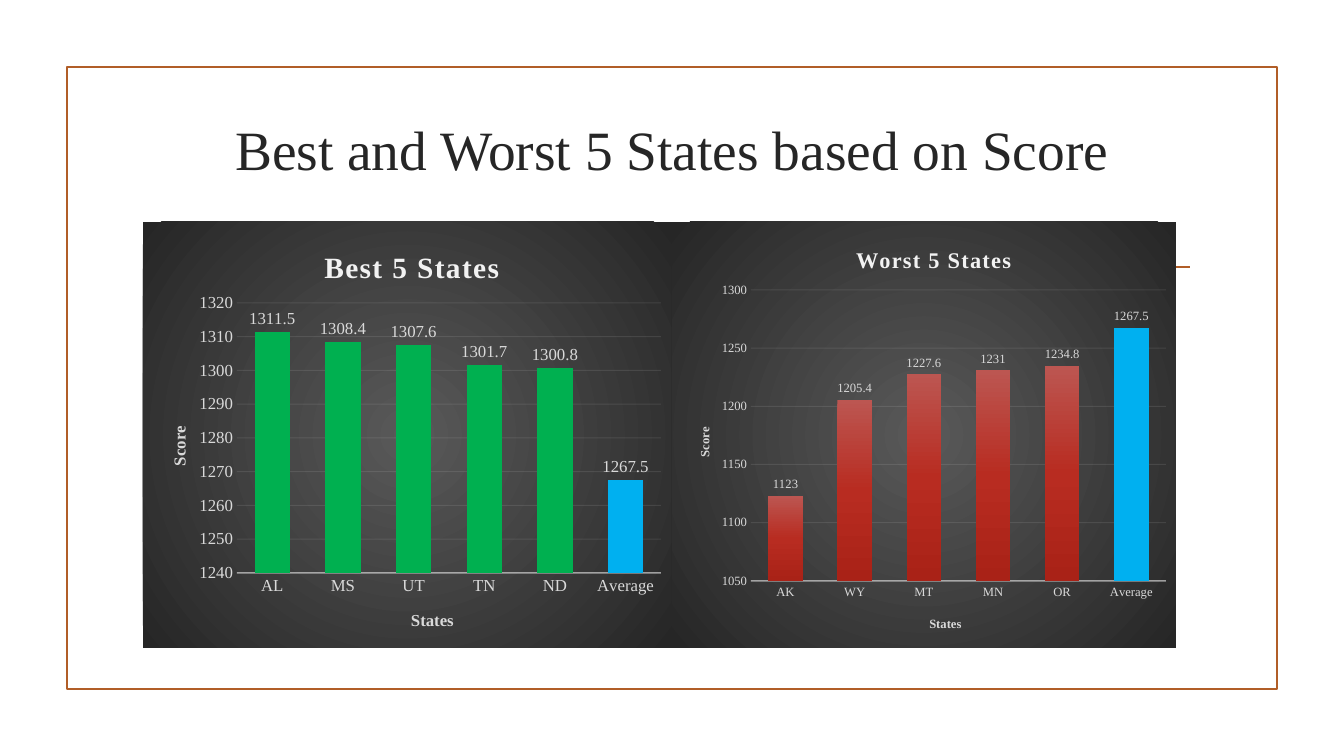
from dataclasses import dataclass

from lxml.etree import SubElement
from pptx import Presentation
from pptx.chart.data import CategoryChartData
from pptx.dml.color import RGBColor
from pptx.enum.chart import XL_CHART_TYPE, XL_LABEL_POSITION, XL_TICK_MARK
from pptx.enum.shapes import MSO_CONNECTOR, MSO_SHAPE
from pptx.enum.text import MSO_ANCHOR, PP_ALIGN
from pptx.oxml import parse_xml
from pptx.oxml.ns import nsdecls, qn
from pptx.util import Pt

EMU_PER_PX = 914400 / 100.8


@dataclass(frozen=True)
class Theme:
    font: str = "Times New Roman"
    accent: str = "B15E28"
    title: str = "262626"
    chart_title: str = "F2F2F2"
    chart_text: str = "D9D9D9"
    best: str = "00B050"
    average: str = "00B0F0"
    worst: tuple = ((0, "BC5651"), (50, "B82C21"), (100, "A92217"))
    backdrop: tuple = ((0, "595959"), (100, "262626"))
    title_size: float = 39.6
    border: float = 1.25


THEME = Theme()


@dataclass(frozen=True)
class ScoreChart:
    title: str
    box: tuple  # left, top, width, height on the slide
    plot: tuple  # inner plot area on the slide
    title_at: tuple
    states_at: tuple
    score_at: tuple
    states: tuple
    scores: tuple
    scale: tuple  # minimum, maximum, step
    fill: object
    title_size: int
    text_size: int


CHARTS = (
    ScoreChart("Best 5 States", (143, 222, 529, 426), (237, 303, 424, 270),
               (319, 243), (408, 607), (166, 423),
               ("AL", "MS", "UT", "TN", "ND", "Average"),
               (1311.5, 1308.4, 1307.6, 1301.7, 1300.8, 1267.5),
               (1240, 1320, 10), THEME.best, 21, 12),
    ScoreChart("Worst 5 States", (672, 222, 504, 426), (751, 290, 415, 291),
               (852, 242), (927, 613), (694, 425),
               ("AK", "WY", "MT", "MN", "OR", "Average"),
               (1123, 1205.4, 1227.6, 1231, 1234.8, 1267.5),
               (1050, 1300, 50), THEME.worst, 16, 9),
)


def px(length):
    return round(length * EMU_PER_PX)


def set_attributes(target, values):
    for name, value in values.items():
        setattr(target, name, value)


def format_font(font, size, color, bold=False):
    set_attributes(font, {"name": THEME.font, "size": Pt(size), "bold": bold})
    font.color.rgb = RGBColor.from_string(color)


def format_line(line, color, width, opacity=100):
    line.color.rgb = RGBColor.from_string(color)
    line.width = Pt(width)
    if opacity < 100:
        for node in line._get_or_add_ln().iter(qn("a:srgbClr")):
            SubElement(node, qn("a:alpha")).set("val", str(opacity * 1000))


def gradient(stops, direction):
    stop_xml = "".join(
        f'<a:gs pos="{position * 1000}"><a:srgbClr val="{color}"/></a:gs>'
        for position, color in stops)
    return (f'<a:gradFill {nsdecls("a")} rotWithShape="1">'
            f"<a:gsLst>{stop_xml}</a:gsLst>{direction}</a:gradFill>")


def set_layout(parent, index, box, chart_box, inner=False):
    """Place a chart part, given in slide pixels, inside its chart."""
    left, top, width, height = chart_box
    names = ("x", "y", "w", "h")
    offsets = (left, top, 0, 0)
    sizes = (width, height, width, height)
    target = '<c:layoutTarget val="inner"/>' if inner else ""
    modes = "".join(f'<c:{name}Mode val="edge"/>' for name in ("x", "y"))
    values = "".join(
        f'<c:{name} val="{(value - offset) / size:.4f}"/>'
        for name, value, offset, size in zip(names, box, offsets, sizes))
    for old in parent.findall(qn("c:layout")):
        parent.remove(old)
    parent.insert(index, parse_xml(
        f'<c:layout {nsdecls("c")}><c:manualLayout>{target}{modes}{values}'
        "</c:manualLayout></c:layout>"))


def write_chart_title(title, text, at, chart_box, size, color, spacing=0, rotation=0):
    frame = title.text_frame
    frame.text = text
    frame._txBody.bodyPr.set("rot", str(rotation * 60000))
    run = frame.paragraphs[0].runs[0]
    format_font(run.font, size, color, bold=True)
    run._r.get_or_add_rPr().set("spc", str(spacing))
    set_layout(title._element, 1, at, chart_box)


def add_title(slide, text, box):
    title = slide.shapes.title
    set_attributes(title, dict(zip(("left", "top", "width", "height"), map(px, box))))
    frame = title.text_frame
    set_attributes(frame, {"text": text, "word_wrap": True,
                           "vertical_anchor": MSO_ANCHOR.MIDDLE})
    paragraph = frame.paragraphs[0]
    paragraph.alignment = PP_ALIGN.CENTER
    format_font(paragraph.runs[0].font, THEME.title_size, THEME.title)


def add_frame(slide, box):
    frame = slide.shapes.add_shape(MSO_SHAPE.RECTANGLE, *map(px, box))
    frame.shadow.inherit = False
    frame.fill.background()
    format_line(frame.line, THEME.accent, THEME.border)


def add_rule(slide, left, right, y):
    rule = slide.shapes.add_connector(
        MSO_CONNECTOR.STRAIGHT, px(left), px(y), px(right), px(y))
    format_line(rule.line, THEME.accent, THEME.border)
    SubElement(rule._element.spPr, qn("a:effectLst"))


def format_axes(chart, content):
    minimum, maximum, step = content.scale
    category, value = chart.category_axis, chart.value_axis
    for axis, name, at, rotation in ((category, "States", content.states_at, 0),
                                     (value, "Score", content.score_at, -90)):
        set_attributes(axis, {"major_tick_mark": XL_TICK_MARK.NONE,
                              "minor_tick_mark": XL_TICK_MARK.NONE})
        format_font(axis.tick_labels.font, content.text_size, THEME.chart_text)
        write_chart_title(axis.axis_title, name, at, content.box,
                          content.text_size, THEME.chart_text, rotation=rotation)
    set_attributes(value, {"minimum_scale": minimum, "maximum_scale": maximum,
                           "major_unit": step, "has_major_gridlines": True})
    format_line(category.format.line, THEME.chart_title, 1, 54)
    value.format.line.fill.background()
    format_line(value.major_gridlines.format.line, THEME.chart_title, 0.75, 10)


def format_bars(plot, content):
    set_attributes(plot, {"gap_width": 100, "overlap": -24,
                          "vary_by_categories": False, "has_data_labels": True})
    set_attributes(plot.data_labels, {"show_value": True,
                                      "position": XL_LABEL_POSITION.OUTSIDE_END})
    format_font(plot.data_labels.font, content.text_size, THEME.chart_text)
    series = plot.series[0]
    series.invert_if_negative = False
    if isinstance(content.fill, str):
        series.format.fill.solid()
        series.format.fill.fore_color.rgb = RGBColor.from_string(content.fill)
    else:
        series._element.get_or_add_spPr().insert(
            0, parse_xml(gradient(content.fill, '<a:lin ang="5400000" scaled="0"/>')))
    average = series.points[len(content.states) - 1].format.fill
    average.solid()
    average.fore_color.rgb = RGBColor.from_string(THEME.average)


def add_score_chart(slide, content):
    data = CategoryChartData()
    data.categories = content.states
    data.add_series("Series 1", content.scores)
    chart = slide.shapes.add_chart(
        XL_CHART_TYPE.COLUMN_CLUSTERED, *map(px, content.box), data).chart
    format_font(chart.font, 10, "000000")
    set_attributes(chart, {"has_legend": False, "has_title": True})
    write_chart_title(chart.chart_title, content.title, content.title_at, content.box,
                      content.title_size, THEME.chart_title, spacing=100)
    format_axes(chart, content)
    format_bars(chart.plots[0], content)

    # Plot position and radial backdrop
    chart_node = chart._chartSpace.find(qn("c:chart"))
    set_layout(chart_node.find(qn("c:plotArea")), 0, content.plot, content.box, inner=True)
    radial = ('<a:path path="circle"><a:fillToRect l="50000" t="50000" '
              'r="50000" b="50000"/></a:path>')
    chart_node.addnext(parse_xml(
        f'<c:spPr {nsdecls("c", "a")}>{gradient(THEME.backdrop, radial)}'
        "<a:ln><a:noFill/></a:ln></c:spPr>"))


def main():
    presentation = Presentation()
    set_attributes(presentation, {"slide_width": px(1344), "slide_height": px(756)})
    slide = presentation.slides.add_slide(presentation.slide_layouts[5])

    # Page decoration and heading
    add_frame(slide, (67, 67, 1210, 622))
    add_rule(slide, 154, 1190, 267)
    add_title(slide, "Best and Worst 5 States based on Score", (143, 108, 1058, 81))

    # Charts side by side
    for content in CHARTS:
        add_score_chart(slide, content)
    presentation.save("out.pptx")


if __name__ == "__main__":
    main()
